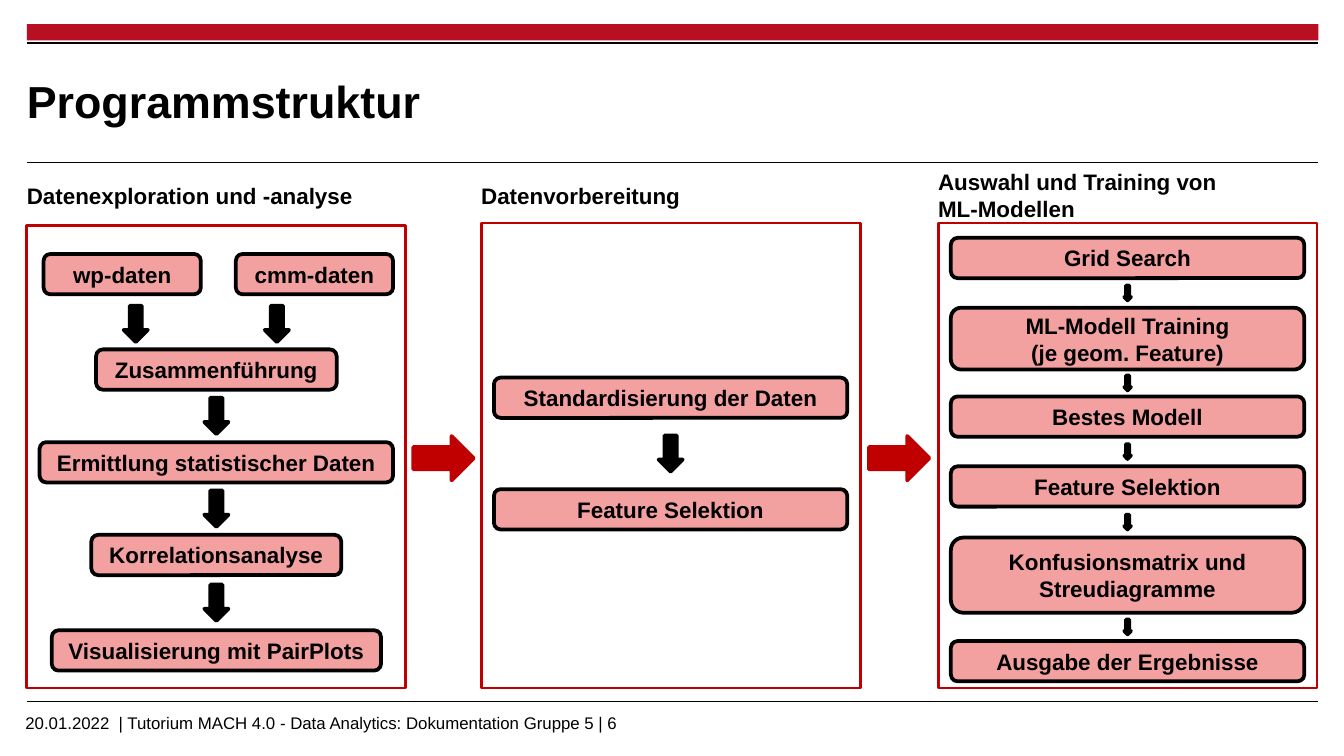
from lxml import etree
from pptx import Presentation
from pptx.dml.color import RGBColor
from pptx.enum.shapes import MSO_CONNECTOR, MSO_SHAPE
from pptx.enum.text import MSO_ANCHOR, PP_ALIGN
from pptx.oxml.ns import qn
from pptx.util import Inches, Pt

RECT, ROUNDED = MSO_SHAPE.RECTANGLE, MSO_SHAPE.ROUNDED_RECTANGLE
DOWN, RIGHT = MSO_SHAPE.DOWN_ARROW, MSO_SHAPE.RIGHT_ARROW
STRAIGHT = MSO_CONNECTOR.STRAIGHT
TOP, MIDDLE = MSO_ANCHOR.TOP, MSO_ANCHOR.MIDDLE
LEFT, CENTER = PP_ALIGN.LEFT, PP_ALIGN.CENTER

BLACK, WHITE, RED, BAND, PINK = "000000", "FFFFFF", "C00000", "B90F22", "F2A0A0"
MARGIN, CONTENT_W = 0.2, 9.61
FRAME_W, FRAME_BOTTOM = 2.82, 5.12
FLOW_Y = 3.41
STEP_H = 0.3
BIG_ARROW, SMALL_ARROW = (0.18, 0.27), (0.05, 0.11)

# Frame left and top, heading top, arrow size, steps (text, top in frame, width, height)
COLUMNS = [
    (0.2, 1.68, 1.31, "Datenexploration und -analyse", BIG_ARROW, [
        ("Zusammenführung", 0.92, 1.79, STEP_H),
        ("Ermittlung statistischer Daten", 1.61, 2.63, STEP_H),
        ("Korrelationsanalyse", 2.3, 1.86, STEP_H),
        ("Visualisierung mit PairPlots", 3.01, 2.45, STEP_H),
    ]),
    (3.58, 1.66, 1.31, "Datenvorbereitung", BIG_ARROW, [
        ("Standardisierung der Daten", 1.15, 2.63, STEP_H),
        ("Feature Selektion", 1.98, 2.63, STEP_H),
    ]),
    (6.98, 1.66, 1.2, "Auswahl und Training von \vML-Modellen", SMALL_ARROW, [
        ("Grid Search", 0.11, 2.63, STEP_H),
        ("ML-Modell Training\n(je geom. Feature)", 0.63, 2.63, 0.46),
        ("Bestes Modell", 1.29, 2.63, STEP_H),
        ("Feature Selektion", 1.81, 2.63, STEP_H),
        ("Konfusionsmatrix und Streudiagramme", 2.34, 2.63, 0.56),
        ("Ausgabe der Ergebnisse", 3.11, 2.63, STEP_H),
    ]),
]
# Text, box centre and arrow centre relative to the axis of the first column
SOURCES = [("wp-daten", -0.7, -0.6), ("cmm-daten", 0.73, 0.45)]


def color(value):
    return RGBColor.from_string(value)


def write(s, text, size, bold=True, align=LEFT, anchor=TOP, insets=(0, 0.05)):
    tf = s.text_frame
    side, edge = (Inches(v) for v in insets)
    settings = {"word_wrap": True, "vertical_anchor": anchor, "margin_left": side,
                "margin_right": side, "margin_top": edge, "margin_bottom": edge}
    for name, value in settings.items():
        setattr(tf, name, value)
    tf.text = text
    for p in tf.paragraphs:
        p.alignment = align
        for r in p.runs:
            for name, value in {"name": "Arial", "size": Pt(size), "bold": bold}.items():
                setattr(r.font, name, value)
            r.font.color.rgb = color(BLACK)


def add_text(slide, box, text, size, **options):
    s = slide.shapes.add_textbox(*map(Inches, box))
    write(s, text, size, **options)


def add_shape(slide, kind, box, fill, line=None, width=2):
    s = slide.shapes.add_shape(kind, *map(Inches, box))
    s.shadow.inherit = False
    s.fill.solid()
    s.fill.fore_color.rgb = color(fill)
    if line:
        s.line.color.rgb = color(line)
        s.line.width = Pt(width)
    else:
        s.line.fill.background()
    return s


def add_rule(slide, y, width):
    s = slide.shapes.add_connector(
        STRAIGHT, *map(Inches, (MARGIN, y, MARGIN + CONTENT_W, y)))
    s.line.color.rgb = color(BLACK)
    s.line.width = Pt(width)
    etree.SubElement(s._element.spPr, qn("a:effectLst"))


def add_step(slide, x, y, w, h, text):
    """Place a step whose top side is centred on x."""
    s = add_shape(slide, ROUNDED, (x - w / 2, y, w, h), PINK, BLACK)
    write(s, text, 12, align=CENTER, anchor=MIDDLE, insets=(0.05, 0.05))


def add_arrow(slide, kind, x, y, size, fill):
    """Place an arrow centred on (x, y)."""
    w, h = size
    add_shape(slide, kind, (x - w / 2, y - h / 2, w, h), fill, fill)


def add_header(slide):
    add_shape(slide, RECT, (MARGIN, 0.18, CONTENT_W, 0.12), BAND)
    add_rule(slide, 0.32, 1.2)
    add_text(slide, (MARGIN, 0.4, 7.45, 0.69), "Programmstruktur", 24,
             anchor=MIDDLE, insets=(0, 0))
    add_rule(slide, 1.21, 0.6)


def add_footer(slide):
    add_rule(slide, 5.22, 0.6)
    add_text(slide, (0.09, 5.25, 7.95, 0.19),
             "20.01.2022  | Tutorium MACH 4.0 - Data Analytics: Dokumentation Gruppe 5 | 6",
             9, bold=False, insets=(0.1, 0.05))


def add_column(slide, left, top, heading_top, heading, arrow, steps):
    """Draw a framed chain of steps with an arrow centred in every gap."""
    add_text(slide, (left, heading_top, FRAME_W, 0.37), heading, 12)
    add_shape(slide, RECT, (left, top, FRAME_W, FRAME_BOTTOM - top), WHITE, RED, 1.5)
    axis = left + FRAME_W / 2
    for text, y, w, h in steps:
        add_step(slide, axis, top + y, w, h, text)
    for (_, y, _, h), (_, next_y, _, _) in zip(steps, steps[1:]):
        add_arrow(slide, DOWN, axis, top + (y + h + next_y) / 2, arrow, BLACK)


def add_sources(slide, axis, y):
    for text, box_dx, arrow_dx in SOURCES:
        add_step(slide, axis + box_dx, y, 1.17, STEP_H, text)
        add_arrow(slide, DOWN, axis + arrow_dx, y + 0.52, BIG_ARROW, BLACK)


def main():
    prs = Presentation()
    prs.slide_width = Inches(10)
    prs.slide_height = prs.slide_width * 9 // 16
    slide = prs.slides.add_slide(prs.slide_layouts[6])
    add_header(slide)
    add_footer(slide)
    for column in COLUMNS:
        add_column(slide, *column)
    add_sources(slide, COLUMNS[0][0] + FRAME_W / 2, 1.89)
    for column, following in zip(COLUMNS, COLUMNS[1:]):
        gap_middle = (column[0] + FRAME_W + following[0]) / 2
        add_arrow(slide, RIGHT, gap_middle, FLOW_Y, (0.45, 0.33), RED)
    prs.save("out.pptx")


if __name__ == "__main__":
    main()
